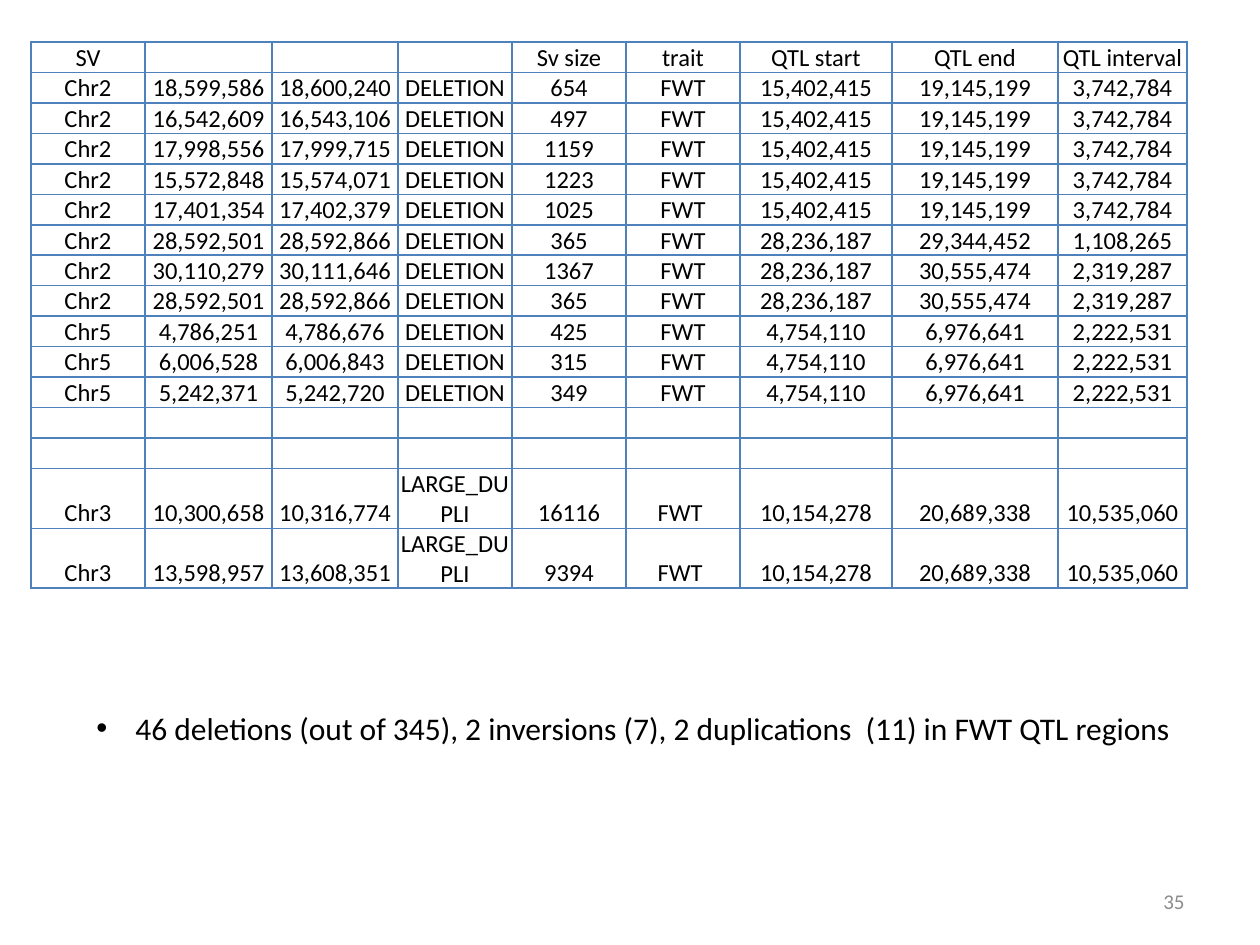
from typing import NamedTuple

from pptx import Presentation
from pptx import util as u
from pptx.dml import color
from pptx.enum import text
from pptx.oxml import xmlchemy, ns, parse_xml

PX = u.Inches(1) / 126
FONT = "Calibri"
COLORS = {"ink": "000000", "border": "4F81BD", "page": "8C8C8C"}
COLUMN_WIDTHS = (114, 127, 126, 114, 114, 114, 152, 166, 129)
ROW_HEIGHT = 26


class Box(NamedTuple):
    left: int
    top: int
    width: int
    height: int


class Qtl(NamedTuple):
    start: str
    end: str
    interval: str


class Variant(NamedTuple):
    chromosome: str
    start: str
    end: str
    kind: str
    size: str
    trait: str
    qtl: Qtl


CHR2_MAIN = Qtl("15,402,415", "19,145,199", "3,742,784")
CHR2_SHORT = Qtl("28,236,187", "29,344,452", "1,108,265")
CHR2_LONG = Qtl("28,236,187", "30,555,474", "2,319,287")
CHR5 = Qtl("4,754,110", "6,976,641", "2,222,531")
CHR3 = Qtl("10,154,278", "20,689,338", "10,535,060")

HEADER = ("SV", "", "", "", "Sv size", "trait", "QTL start", "QTL end", "QTL interval")
EMPTY = ("",) * len(HEADER)
DELETIONS = [
    Variant(chromosome, start, end, "DELETION", size, "FWT", qtl)
    for chromosome, start, end, size, qtl in (
        ("Chr2", "18,599,586", "18,600,240", "654", CHR2_MAIN),
        ("Chr2", "16,542,609", "16,543,106", "497", CHR2_MAIN),
        ("Chr2", "17,998,556", "17,999,715", "1159", CHR2_MAIN),
        ("Chr2", "15,572,848", "15,574,071", "1223", CHR2_MAIN),
        ("Chr2", "17,401,354", "17,402,379", "1025", CHR2_MAIN),
        ("Chr2", "28,592,501", "28,592,866", "365", CHR2_SHORT),
        ("Chr2", "30,110,279", "30,111,646", "1367", CHR2_LONG),
        ("Chr2", "28,592,501", "28,592,866", "365", CHR2_LONG),
        ("Chr5", "4,786,251", "4,786,676", "425", CHR5),
        ("Chr5", "6,006,528", "6,006,843", "315", CHR5),
        ("Chr5", "5,242,371", "5,242,720", "349", CHR5),
    )
]
DUPLICATIONS = [
    Variant("Chr3", "10,300,658", "10,316,774", "LARGE_DUPLI", "16116", "FWT ", CHR3),
    Variant("Chr3", "13,598,957", "13,608,351", "LARGE_DUPLI", "9394", "FWT ", CHR3),
]


def px(length: int) -> u.Emu:
    return u.Emu(round(length * PX))


def style(paragraph, size: int, ink: str, alignment) -> None:
    paragraph.alignment = alignment
    paragraph.font.name = FONT
    paragraph.font.size = u.Pt(size)
    paragraph.font.color.rgb = color.RGBColor.from_string(COLORS[ink])


def add_borders(cell) -> None:
    properties = cell._tc.get_or_add_tcPr()
    for position, side in enumerate(("lnL", "lnR", "lnT", "lnB")):
        properties.insert(position, parse_xml(
            f'<a:{side} {ns.nsdecls("a")} w="{u.Pt(1)}"><a:solidFill>'
            f'<a:srgbClr val="{COLORS["border"]}"/></a:solidFill></a:{side}>'))


def fill_cell(cell, wording: str) -> None:
    cell.text = wording
    cell.margin_left = cell.margin_right = cell.margin_top = px(1)
    cell.margin_bottom = 0
    cell.vertical_anchor = text.MSO_ANCHOR.BOTTOM
    cell.fill.background()
    paragraph = cell.text_frame.paragraphs[0]
    style(paragraph, 14, "ink", text.PP_ALIGN.CENTER)
    if not wording:
        paragraph._p.append(parse_xml(
            f'<a:endParaRPr {ns.nsdecls("a")} sz="1400"><a:latin typeface="{FONT}"/></a:endParaRPr>'))
    add_borders(cell)


def add_variant_table(slide, left: int, top: int, rows: list[tuple]) -> None:
    table = slide.shapes.add_table(
        len(rows), len(HEADER), px(left), px(top),
        px(sum(COLUMN_WIDTHS)), px(ROW_HEIGHT * len(rows))).table
    table.first_row = table.horz_banding = False
    for column, width in zip(table.columns, COLUMN_WIDTHS):
        column.width = px(width)
    for row, wordings in zip(table.rows, rows):
        row.height = px(ROW_HEIGHT)
        for cell, wording in zip(row.cells, wordings):
            fill_cell(cell, wording)


def add_text(slide, box: Box, wording: str, size: int, ink: str, alignment):
    shape = slide.shapes.add_textbox(*map(px, box))
    frame = shape.text_frame
    frame.word_wrap = True
    frame.vertical_anchor = text.MSO_ANCHOR.MIDDLE
    paragraph = frame.paragraphs[0]
    paragraph.text = wording
    style(paragraph, size, ink, alignment)
    return paragraph


def add_bullet(paragraph, indent: int) -> None:
    properties = paragraph._p.get_or_add_pPr()
    properties.set("marL", str(px(indent)))
    properties.set("indent", str(-px(indent)))
    for position, markup in enumerate(('buFont {} typeface="Arial"', 'buChar {} char="•"')):
        properties.insert(position, parse_xml(f'<a:{markup.format(ns.nsdecls("a"))}/>'))


def main() -> None:
    presentation = Presentation()
    presentation.slide_width, presentation.slide_height = px(1260), px(945)
    slide = presentation.slides.add_slide(presentation.slide_layouts[6])
    add_text(slide, Box(903, 876, 294, 50), "35", 12, "page", text.PP_ALIGN.RIGHT)
    variants = [[(*variant[:-1], *variant.qtl) for variant in group]
                for group in (DELETIONS, DUPLICATIONS)]
    add_variant_table(slide, 31, 42, [HEADER, *variants[0], EMPTY, EMPTY, *variants[1]])
    summary = add_text(
        slide, Box(84, 703, 1155, 50),
        "46 deletions (out of 345), 2 inversions (7), 2 duplications  (11) in FWT QTL regions",
        18, "ink", text.PP_ALIGN.LEFT)
    add_bullet(summary, 39)
    presentation.save("out.pptx")


if __name__ == "__main__":
    main()
